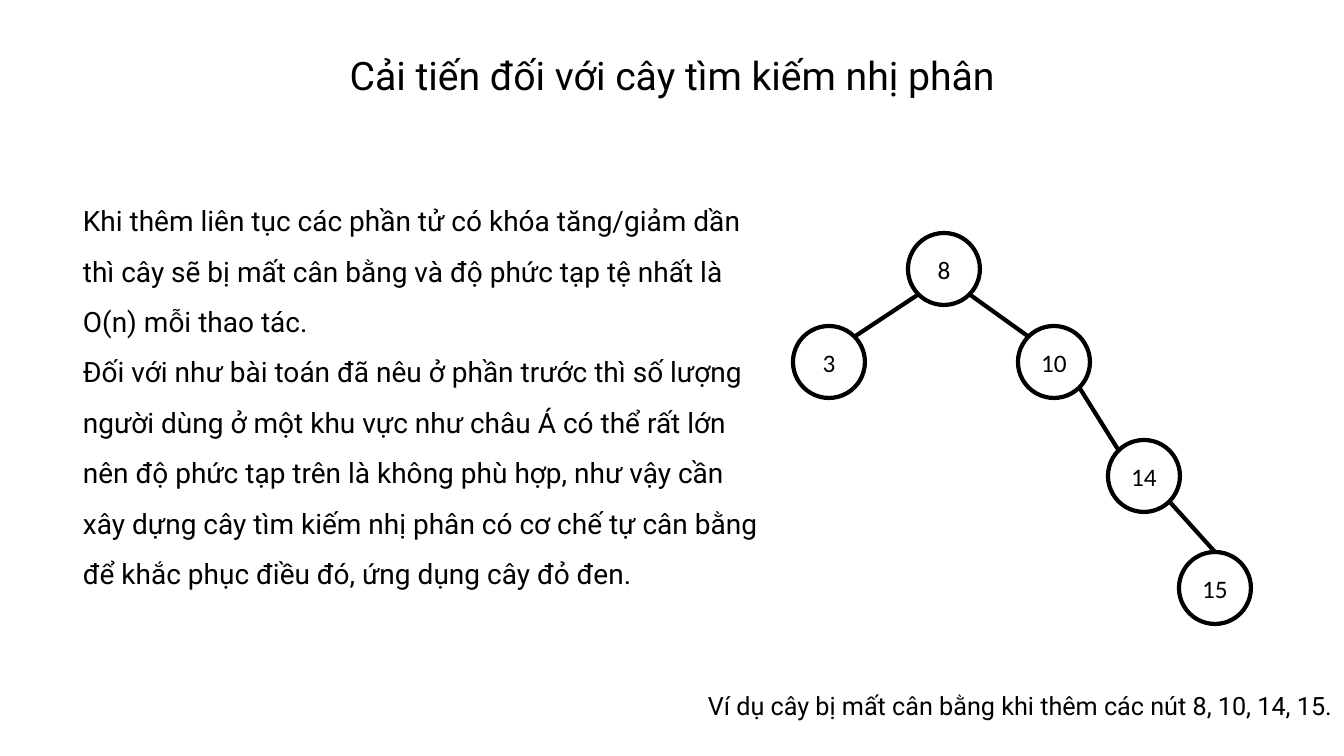
from dataclasses import dataclass
from math import sqrt
from lxml import etree
from pptx import Presentation
from pptx import util as u
from pptx.dml.color import RGBColor
from pptx.enum import shapes, text
from pptx.oxml.ns import qn


@dataclass(frozen=True)
class Theme:
    ink: RGBColor = RGBColor(0, 0, 0)
    paper: RGBColor = RGBColor(255, 255, 255)
    text_font: str = "Roboto"
    node_font: str = "Calibri"
    title_size: int = 28
    body_size: int = 20
    small_size: int = 18
    stroke: int = 3


theme = Theme()
SCALE = 914400 / 100.8


def px(value):
    return u.Emu(round(value * SCALE))


def write(shape, lines, frame_format, paragraph_format, font_format):
    frame = shape.text_frame
    frame.text = "\n".join(lines)
    for name, value in frame_format.items():
        setattr(frame, name, value)
    for paragraph in frame.paragraphs:
        for name, value in paragraph_format.items():
            setattr(paragraph, name, value)
        font = paragraph.runs[0].font
        font.color.rgb = theme.ink
        for name, value in font_format.items():
            setattr(font, name, value)


presentation = Presentation()
presentation.slide_width, presentation.slide_height = px(1344), px(756)
slide = presentation.slides.add_slide(presentation.slide_layouts[6])
slide.background.fill.solid()
slide.background.fill.fore_color.rgb = theme.paper

# Title, explanation and caption
centred = {"alignment": text.PP_ALIGN.CENTER}
spaced = {"line_spacing": 1.5}
text_blocks = [
    ((0, 46, 1344, 57), theme.title_size, centred,
     ["Cải tiến đối với cây tìm kiếm nhị phân"]),
    ((73, 182, 702, 411), theme.body_size, spaced,
     ["Khi thêm liên tục các phần tử có khóa tăng/giảm dần thì cây sẽ bị mất "
      "cân bằng và độ phức tạp tệ nhất là O(n) mỗi thao tác.",
      "Đối với như bài toán đã nêu ở phần trước thì số lượng người dùng ở một "
      "khu vực như châu Á có thể rất lớn nên độ phức tạp trên là không phù hợp, "
      "như vậy cần xây dựng cây tìm kiếm nhị phân có cơ chế tự cân bằng để khắc "
      "phục điều đó, ứng dụng cây đỏ đen."]),
    ((698, 670, 646, 50), theme.small_size, spaced,
     ["Ví dụ cây bị mất cân bằng khi thêm các nút 8, 10, 14, 15."]),
]
for box, size, paragraph_format, lines in text_blocks:
    text_box = slide.shapes.add_textbox(*map(px, box))
    write(text_box, lines,
          {"word_wrap": True, "auto_size": text.MSO_AUTO_SIZE.SHAPE_TO_FIT_TEXT},
          paragraph_format, {"name": theme.text_font, "size": u.Pt(size)})

# Tree nodes: key -> centre
RADIUS = 36
nodes = {8: (944, 269), 10: (1054, 362), 3: (829, 362),
         14: (1144, 476), 15: (1215, 588)}
for key, (x, y) in nodes.items():
    node = slide.shapes.add_shape(
        shapes.MSO_SHAPE.OVAL,
        *map(px, (x - RADIUS, y - RADIUS, 2 * RADIUS, 2 * RADIUS)))
    node.shadow.inherit = False
    node.fill.solid()
    node.fill.fore_color.rgb = theme.paper
    node.line.color.rgb = theme.ink
    node.line.width = u.Pt(theme.stroke)
    write(node, [str(key)],
          {"word_wrap": True, "vertical_anchor": text.MSO_ANCHOR.MIDDLE},
          centred, {"name": theme.node_font, "size": u.Pt(theme.small_size)})

# Tree edges: parent, child and the side of each circle they touch
diagonal = 1 / sqrt(2)
sides = {"top": (0, -1),
         "top left": (-diagonal, -diagonal), "top right": (diagonal, -diagonal),
         "bottom left": (-diagonal, diagonal), "bottom right": (diagonal, diagonal)}
edges = [(8, "bottom left", 3, "top right"), (8, "bottom right", 10, "top left"),
         (10, "bottom right", 14, "top left"), (14, "bottom right", 15, "top")]
for parent, parent_side, child, child_side in edges:
    ends = [round(centre + RADIUS * offset)
            for key, side in ((parent, parent_side), (child, child_side))
            for centre, offset in zip(nodes[key], sides[side])]
    edge = slide.shapes.add_connector(shapes.MSO_CONNECTOR.STRAIGHT, *map(px, ends))
    edge.line.color.rgb = theme.ink
    edge.line.width = u.Pt(theme.stroke)
    etree.SubElement(edge.element.spPr, qn("a:effectLst"))

presentation.save("out.pptx")
